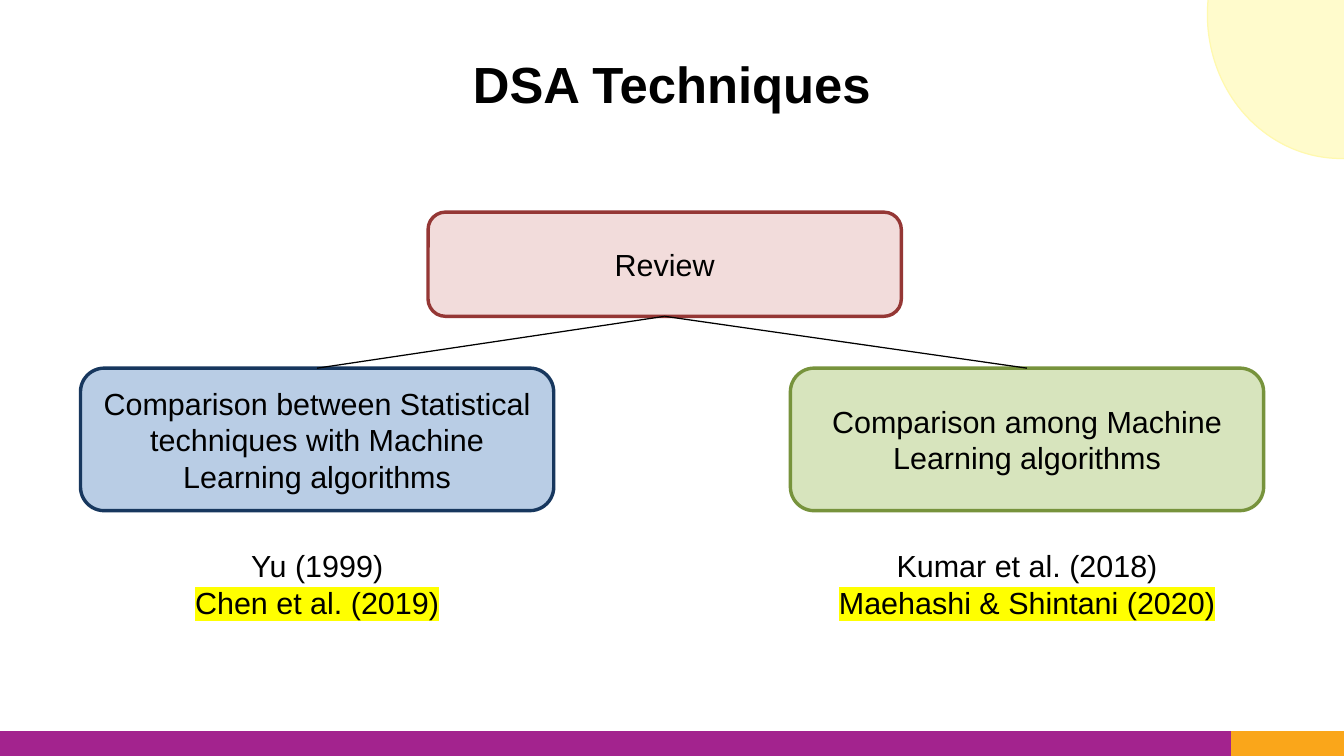
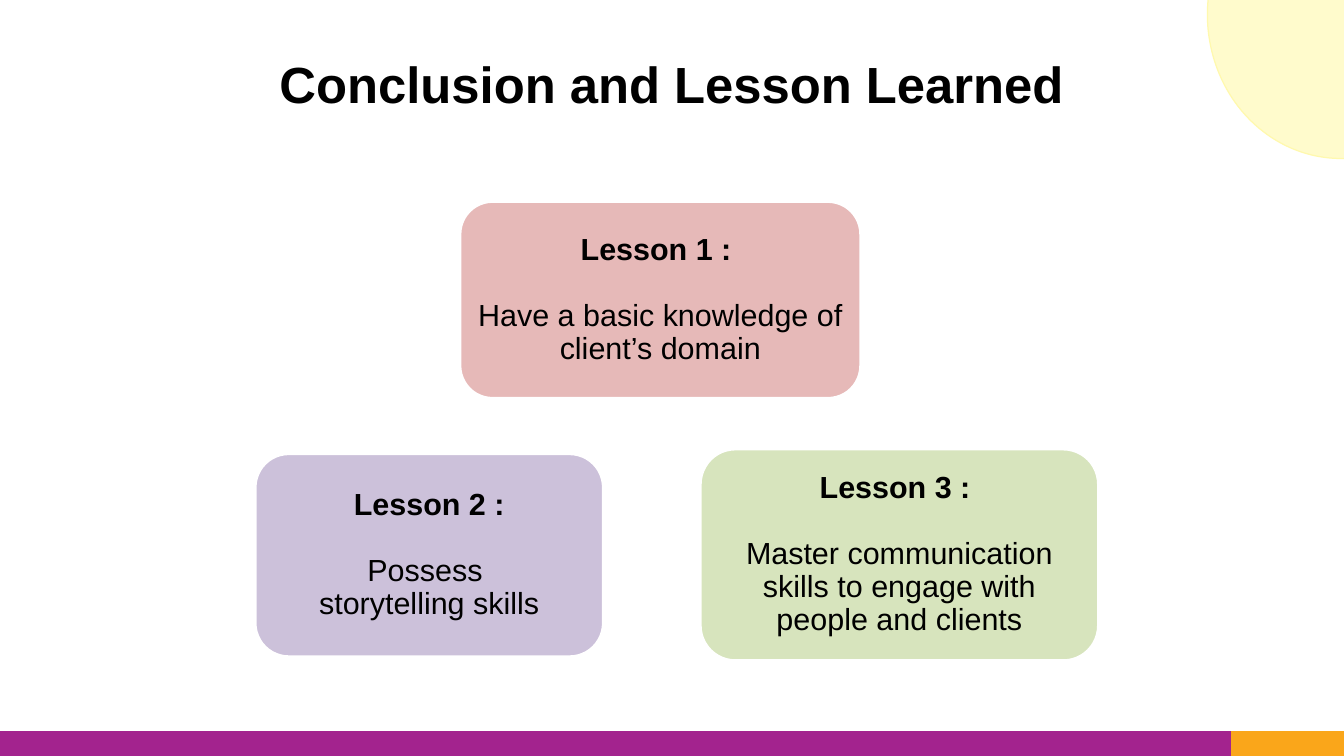
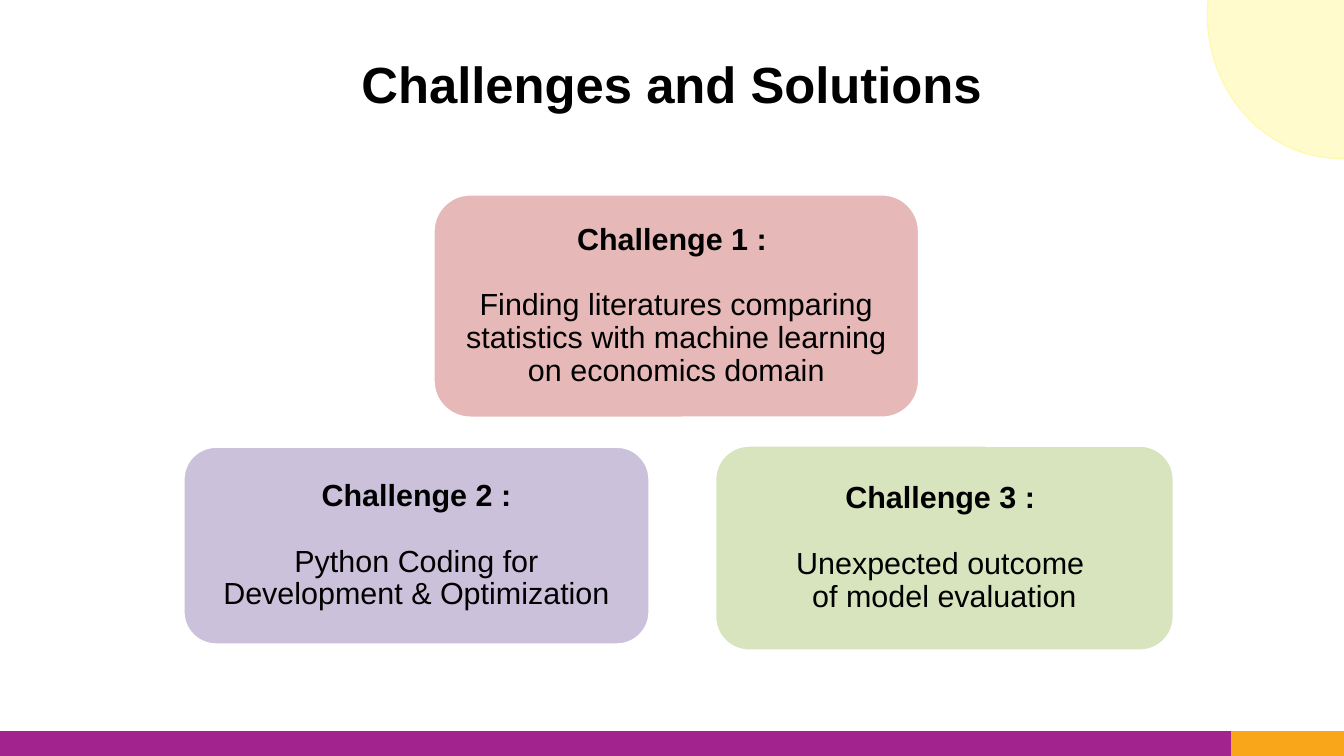
from dataclasses import dataclass

from lxml import etree
from pptx import Presentation
from pptx.dml.color import RGBColor
from pptx.enum import shapes, text
from pptx.oxml.ns import qn
from pptx.util import Pt


@dataclass(frozen=True)
class Theme:
    font: str = "Arial"
    title_size: int = 30
    body_size: int = 18
    ink: str = "000000"
    white: str = "FFFFFF"
    purple: str = "A3238E"
    orange: str = "FAA61A"
    cream: str = "FFFBCC"
    cream_line: str = "FFF9AE"
    highlight: str = "FFFF00"
    pink: str = "F2DCDB"
    maroon: str = "953735"
    blue: str = "B9CDE5"
    navy: str = "17375E"
    green: str = "D7E4BD"
    dark_green: str = "77933C"
    rose: str = "E6B9B8"
    lilac: str = "CCC1DA"


T = Theme()
SHAPE = shapes.MSO_SHAPE
WIDTH, HEIGHT = 793.44, 446.4


def add_box(s, kind, frame, fill, line, weight):
    sp = s.shapes.add_shape(kind, *map(Pt, frame))
    sp.shadow.inherit = False
    sp.fill.solid()
    sp.fill.fore_color.rgb = RGBColor.from_string(fill)
    sp.line.color.rgb = RGBColor.from_string(line)
    sp.line.width = Pt(weight)
    return sp


def write(sp, lines, size=T.body_size, bold=(), para=(), **frame):
    """Fill sp with centred lines; bold holds line numbers, para maps a line number to its format."""
    tf = sp.text_frame
    for name, value in {"word_wrap": True, **frame}.items():
        setattr(tf, name, value)
    tf.text = "\n".join(lines)
    for i, p in enumerate(tf.paragraphs):
        p.alignment = text.PP_ALIGN.CENTER
        for name, value in dict(para).get(i, {}).items():
            setattr(p, name, value)
        for r in p.runs:
            for name, value in {"name": T.font, "size": Pt(size), "bold": i in bold}.items():
                setattr(r.font, name, value)
            r.font.color.rgb = RGBColor.from_string(T.ink)
    return tf


prs = Presentation()
prs.slide_width, prs.slide_height = Pt(WIDTH), Pt(HEIGHT)
layout = prs.slide_layouts[5]

# Shared title, bands and corner circle
for ph in list(layout.placeholders):
    if ph.placeholder_format.type != shapes.PP_PLACEHOLDER.TITLE:
        ph.element.getparent().remove(ph.element)

no_margins = dict.fromkeys(("margin_left", "margin_top", "margin_right", "margin_bottom"), 0)
slides = []
for heading in ("DSA Techniques", "Conclusion and Lesson Learned", "Challenges and Solutions"):
    s = prs.slides.add_slide(layout)
    title = s.shapes.title
    title.left, title.top, title.width, title.height = map(Pt, (0, 13, WIDTH, 72))
    write(title, [heading], T.title_size, bold=(0,), auto_size=text.MSO_AUTO_SIZE.NONE,
          vertical_anchor=text.MSO_ANCHOR.MIDDLE, **no_margins)
    slides.append(s)

band_top, band_split = 432, 727.2
for kind, frame, fill, line in (
    (SHAPE.RECTANGLE, (0, band_top, band_split, HEIGHT - band_top), T.purple, T.purple),
    (SHAPE.RECTANGLE, (band_split, band_top, WIDTH - band_split, HEIGHT - band_top), T.orange, T.orange),
    (SHAPE.OVAL, (712.8, -76.3, 157.7, 169.9), T.cream, T.cream_line),
):
    decoration = add_box(slides[0], kind, frame, fill, line, 0.75)
    layout.shapes.element.append(decoration.element)

# Slide 1: review tree
s = slides[0]
box_width = 279.4
review = add_box(s, SHAPE.ROUNDED_RECTANGLE, (252.7, 125.3, box_width, 61.5), T.pink, T.maroon, 2)
write(review, ["Review"])

branches = (
    (47.5, T.blue, T.navy,
     "Comparison between Statistical techniques with Machine Learning algorithms",
     ["Yu (1999)", "Chen et al. (2019)"]),
    (466.6, T.green, T.dark_green,
     "Comparison among Machine Learning algorithms",
     ["Kumar et al. (2018)", "Maehashi & Shintani (2020)"]),
)
for left, fill, line, topic, studies in branches:
    branch = add_box(s, SHAPE.ROUNDED_RECTANGLE, (left, 217.4, box_width, 84.2), fill, line, 2)
    write(branch, [topic])

    citations = s.shapes.add_textbox(*map(Pt, (left, 319.7, box_width, 51)))
    tf = write(citations, studies)
    color = tf.paragraphs[-1].runs[0].font.fill._xPr.find(qn("a:solidFill"))
    mark = etree.Element(qn("a:highlight"))
    etree.SubElement(mark, qn("a:srgbClr"), val=T.highlight)
    color.addnext(mark)

    link = s.shapes.add_connector(shapes.MSO_CONNECTOR.STRAIGHT, 0, 0, 0, 0)
    link.begin_connect(review, 2)
    link.end_connect(branch, 0)
    link.line.color.rgb = RGBColor.from_string(T.ink)
    link.line.width = Pt(0.75)
    etree.SubElement(link.element.spPr, qn("a:effectLst"))

# Slides 2 and 3: three cards each
lessons = (
    ((271.4, 118.8, 236.9, 116.6), "Lesson 1 : ", "Have a basic knowledge of client’s domain"),
    ((150.5, 267.8, 205.9, 120.2), "Lesson 2 :", "Possess \vstorytelling skills"),
    ((413.3, 265, 235.4, 125.3), "Lesson 3 : ",
     "Master communication skills to engage with people and clients"),
)
challenges = (
    ((255.6, 114.5, 287.3, 132.5), "Challenge 1 : ",
     "Finding literatures comparing statistics with machine learning on economics domain"),
    ((108, 263.5, 275.8, 117.4), "Challenge 2 :", "Python Coding for Development & Optimization"),
    ((421.9, 262.8, 271.4, 121.7), "Challenge 3 : ", "Unexpected outcome \vof model evaluation"),
)
card_margins = dict.fromkeys(no_margins, Pt(5))
card_format = {0: {"line_spacing": 0.9, "space_after": Pt(19.5)}, 1: {"line_spacing": 0.9}}
for s, cards in zip(slides[1:], (lessons, challenges)):
    for (frame, heading, body), fill in zip(cards, (T.rose, T.lilac, T.green)):
        card = add_box(s, SHAPE.ROUNDED_RECTANGLE, frame, fill, T.white, 2)
        write(card, [heading, body], bold=(0,), para=card_format, **card_margins)

prs.save("out.pptx")
